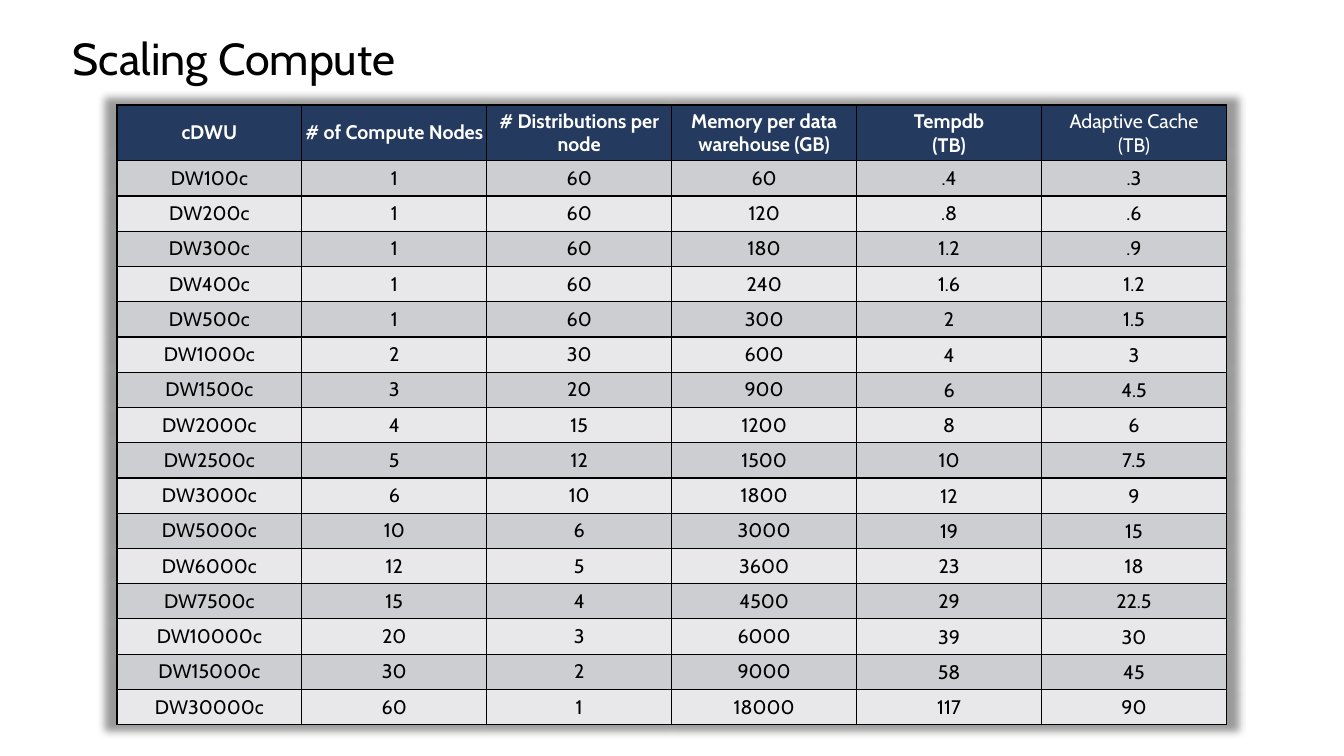
from typing import NamedTuple

from lxml.etree import SubElement
from pptx import Presentation
from pptx.dml.color import RGBColor
from pptx.enum.text import MSO_ANCHOR, MSO_AUTO_SIZE, PP_ALIGN
from pptx.oxml import parse_xml
from pptx.oxml.ns import nsdecls, qn
from pptx.util import Pt

FONT = "Cabin"
COLORS = {
    "black": "000000",
    "white": "FFFFFF",
    "header": "243A5E",
    "band_dark": "CDCED2",
    "band_light": "E8E8EA",
}
COLUMN_WIDTH = 132.12
HEADER_HEIGHT = 39.2
ROW_HEIGHT = 25.18


class Margins(NamedTuple):
    left: float
    top: float
    right: float
    bottom: float


FLUSH = Margins(0, 0, 0, 0)
TIGHT = Margins(0.72, 0.72, 0.72, 0)
ROOMY = Margins(5.04, 2.88, 5.04, 2.88)


class ServiceLevel(NamedTuple):
    cdwu: str
    nodes: str
    distributions: str
    memory: str
    tempdb: str
    cache: str


HEADINGS = ServiceLevel(
    "cDWU",
    "# of Compute Nodes",
    "# Distributions per node",
    "Memory per data warehouse (GB)",
    "Tempdb\n(TB)",
    "Adaptive Cache\n(TB)",
)
LEVELS = [
    ServiceLevel("DW100c", "1", "60", "60", ".4", ".3"),
    ServiceLevel("DW200c", "1", "60", "120", ".8", ".6"),
    ServiceLevel("DW300c", "1", "60", "180", "1.2", ".9"),
    ServiceLevel("DW400c", "1", "60", "240", "1.6", "1.2"),
    ServiceLevel("DW500c", "1", "60", "300", "2", "1.5"),
    ServiceLevel("DW1000c", "2", "30", "600", "4", "3"),
    ServiceLevel("DW1500c", "3", "20", "900", "6", "4.5"),
    ServiceLevel("DW2000c", "4", "15", "1200", "8", "6"),
    ServiceLevel("DW2500c", "5", "12", "1500", "10", "7.5"),
    ServiceLevel("DW3000c", "6", "10", "1800", "12", "9"),
    ServiceLevel("DW5000c", "10", "6", "3000", "19", "15"),
    ServiceLevel("DW6000c", "12", "5", "3600", "23", "18"),
    ServiceLevel("DW7500c", "15", "4", "4500", "29", "22.5"),
    ServiceLevel("DW10000c", "20", "3", "6000", "39", "30"),
    ServiceLevel("DW15000c", "30", "2", "9000", "58", "45"),
    ServiceLevel("DW30000c", "60", "1", "18000", "117", "90"),
]


def rgb(name: str) -> RGBColor:
    return RGBColor.from_string(COLORS[name])


def add_run(paragraph, text: str, size: float, color: str, bold: bool = False) -> None:
    run = paragraph.add_run()
    run.text = text
    run.font.name = FONT
    run.font.size = Pt(size)
    run.font.bold = bold
    run.font.color.rgb = rgb(color)


def set_margins(target, margins: Margins) -> None:
    """Apply margins to a text frame or a table cell."""
    target.margin_left = Pt(margins.left)
    target.margin_top = Pt(margins.top)
    target.margin_right = Pt(margins.right)
    target.margin_bottom = Pt(margins.bottom)


def cell_margins(row: int, column: int) -> Margins:
    if column < 3:
        return FLUSH
    if column == 3 or 1 <= row <= 5:
        return ROOMY
    return TIGHT


def add_borders(cell) -> None:
    properties = cell._tc.get_or_add_tcPr()
    for position, side in enumerate(("lnL", "lnR", "lnT", "lnB")):
        line = SubElement(properties, qn(f"a:{side}"), w=str(Pt(1)))
        fill = SubElement(line, qn("a:solidFill"))
        SubElement(fill, qn("a:srgbClr"), val=COLORS["black"])
        properties.insert(position, line)


def fill_cell(cell, text: str, row: int, column: int) -> None:
    is_header = row == 0
    cell.fill.solid()
    band = "band_dark" if row % 2 else "band_light"
    cell.fill.fore_color.rgb = rgb("header" if is_header else band)
    add_borders(cell)
    set_margins(cell, cell_margins(row, column))
    cell.vertical_anchor = MSO_ANCHOR.MIDDLE
    for index, line in enumerate(text.split("\n")):
        frame = cell.text_frame
        paragraph = frame.add_paragraph() if index else frame.paragraphs[0]
        paragraph.alignment = PP_ALIGN.CENTER
        add_run(paragraph, line, 14, "white" if is_header else "black",
                bold=is_header and column < 5)


def add_halo(table) -> None:
    """Give the table a soft shadow on all four sides."""
    table._tbl.tblPr.insert(0, parse_xml(
        f'<a:effectLst {nsdecls("a")}>'
        f'<a:outerShdw blurRad="{Pt(5)}" sx="102000" sy="102000" algn="ctr" rotWithShape="0">'
        f'<a:srgbClr val="{COLORS["black"]}"><a:alpha val="40000"/></a:srgbClr>'
        '</a:outerShdw></a:effectLst>'))


def add_title(slide, text: str) -> None:
    title = slide.shapes.title
    title.left, title.top, title.width, title.height = Pt(51.84), Pt(25.2), Pt(856.8), Pt(36)
    title.fill.solid()
    title.fill.fore_color.rgb = rgb("white")
    frame = title.text_frame
    frame.word_wrap = True
    frame.auto_size = MSO_AUTO_SIZE.NONE
    frame.vertical_anchor = MSO_ANCHOR.MIDDLE
    set_margins(frame, FLUSH)
    paragraph = frame.paragraphs[0]
    paragraph.alignment = PP_ALIGN.LEFT
    paragraph.line_spacing = 0.9
    add_run(paragraph, text, 32, "black")


def add_scaling_table(slide) -> None:
    rows = [HEADINGS, *LEVELS]
    table = slide.shapes.add_table(
        len(rows), len(HEADINGS), Pt(83.52), Pt(75),
        Pt(COLUMN_WIDTH * len(HEADINGS)),
        Pt(HEADER_HEIGHT + ROW_HEIGHT * len(LEVELS))).table
    table.horz_banding = False
    add_halo(table)
    for column in table.columns:
        column.width = Pt(COLUMN_WIDTH)
    for row, level in enumerate(rows):
        table.rows[row].height = Pt(ROW_HEIGHT if row else HEADER_HEIGHT)
        for column, text in enumerate(level):
            fill_cell(table.cell(row, column), text, row, column)


def main() -> None:
    presentation = Presentation()
    presentation.slide_width = Pt(960)
    presentation.slide_height = Pt(540)
    slide = presentation.slides.add_slide(presentation.slide_layouts[5])
    add_title(slide, "Scaling Compute")
    add_scaling_table(slide)
    presentation.save("out.pptx")


if __name__ == "__main__":
    main()
